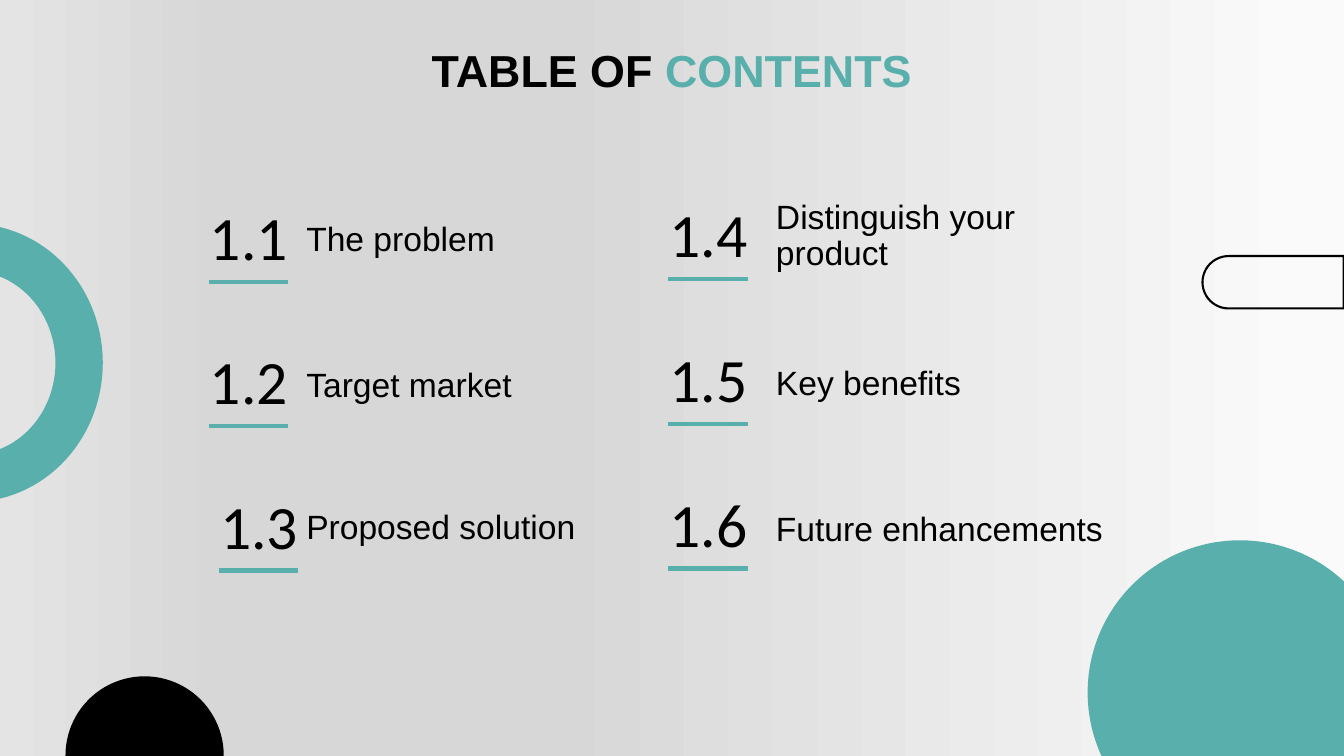
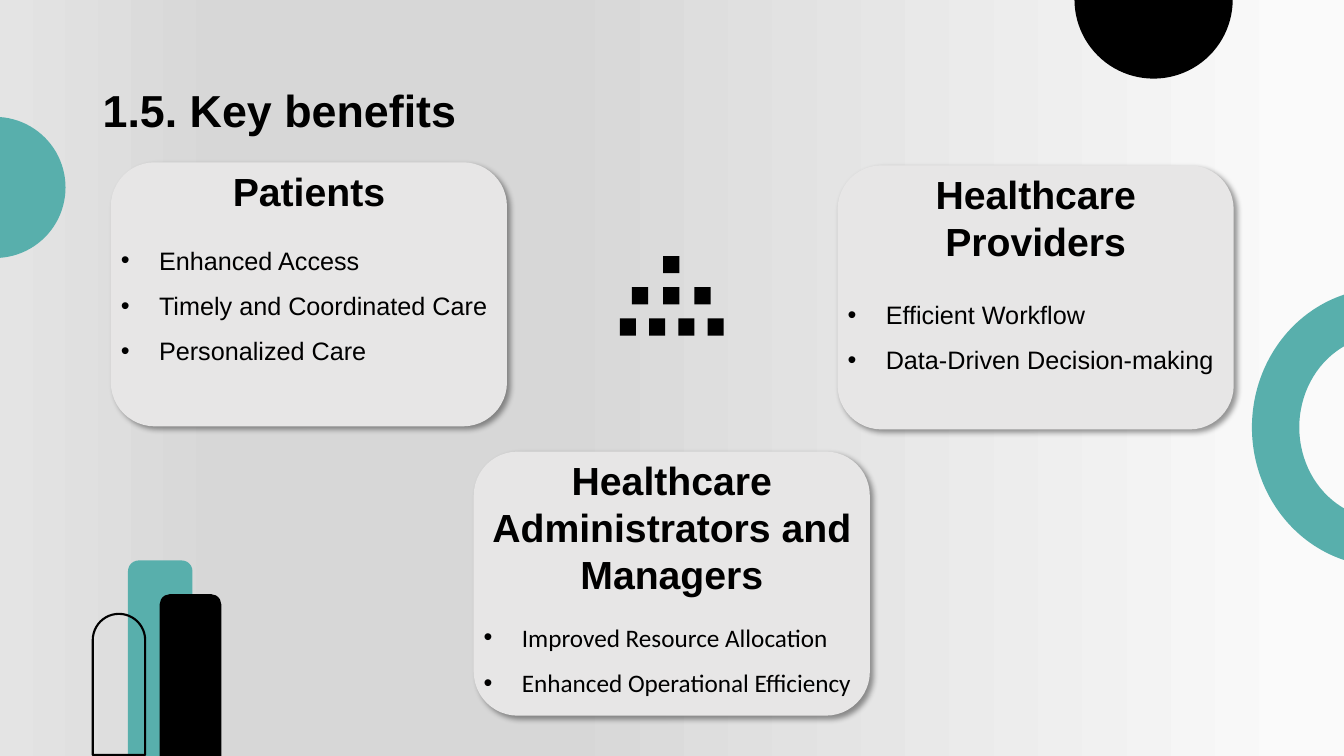
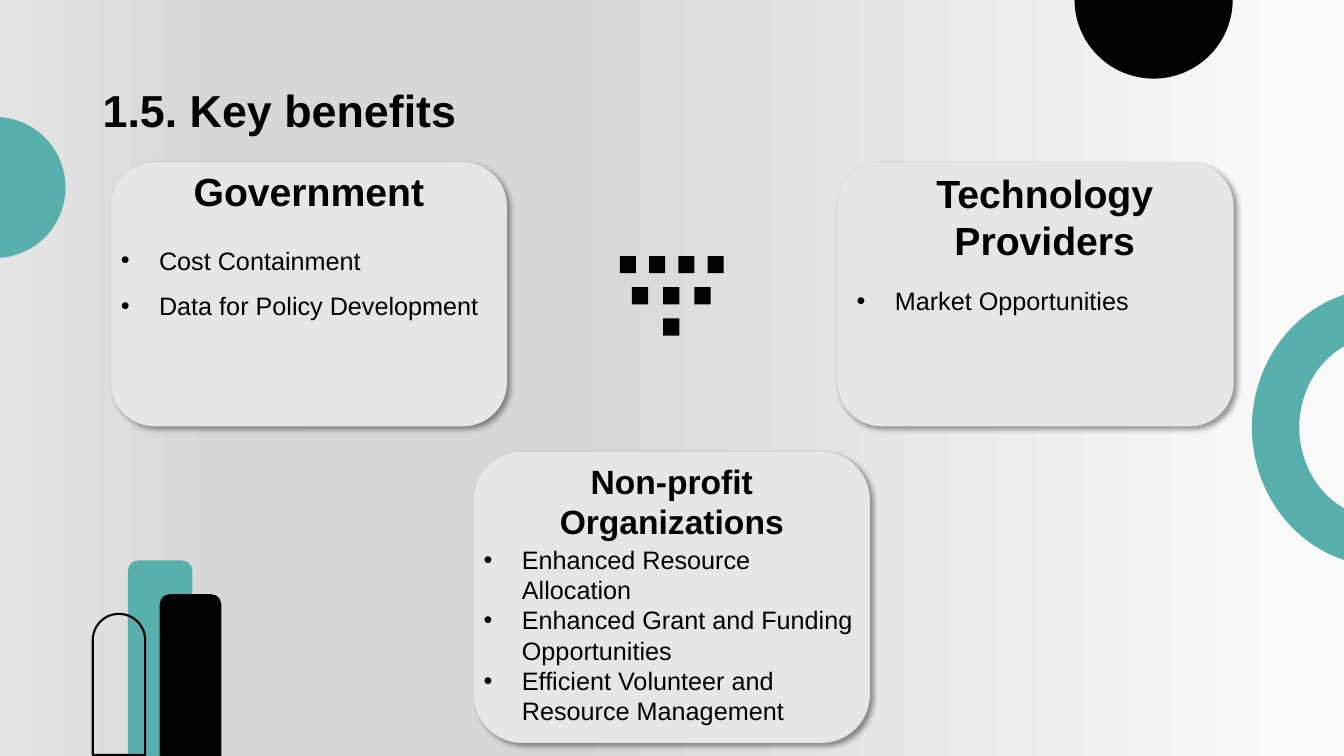
from lxml import etree
from pptx import Presentation
from pptx import util as u
from pptx.dml.color import RGBColor
from pptx.enum import shapes, text
from pptx.oxml import parse_xml
from pptx.oxml.ns import nsdecls, qn

SCALE = 9144
WIDE, HIGH = 1333, 750
TEAL = RGBColor(0x58, 0xAF, 0xAC)
BLACK = RGBColor(0, 0, 0)
PALE = RGBColor(0xE7, 0xE6, 0xE6)
STOPS = ((3, "FAFAFA"), (59, "D7D7D7"), (83, "D7D7D7"), (100, "E4E4E4"))
KIND = shapes.MSO_SHAPE
LEFT, MID = text.PP_ALIGN.LEFT, text.PP_ALIGN.CENTER
TOP, CORE, BASE = text.MSO_ANCHOR.TOP, text.MSO_ANCHOR.MIDDLE, text.MSO_ANCHOR.BOTTOM
GROW = text.MSO_AUTO_SIZE.SHAPE_TO_FIT_TEXT
HEAD = {"name": "Arial", "size": u.Pt(32), "bold": True}
CAP = {"name": "Arial", "size": u.Pt(28), "bold": True}
BODY = {"name": "Arial", "size": u.Pt(18)}
LABEL = {"name": "Arial", "size": u.Pt(24)}
DIGIT = {"name": "Calibri", "size": u.Pt(44)}


def px(*vals):
    return [u.Emu(val * SCALE) for val in vals]


def apply(obj, vals):
    for key, val in vals.items():
        setattr(obj, key, val)


def add_bullet(para):
    props = para._p.get_or_add_pPr()
    props.set("marL", str(38 * SCALE))
    props.set("indent", str(-38 * SCALE))
    etree.SubElement(props, qn("a:buFont")).set("typeface", "Arial")
    etree.SubElement(props, qn("a:buChar")).set("char", "•")


def add_text(slide, box, lines, font, align=LEFT, anchor=TOP, space=1.0,
             pad=5, bullet=False, grow=False):
    frame = slide.shapes.add_textbox(*px(*box)).text_frame
    side, edge = px(10, pad)
    apply(frame, {"word_wrap": True, "vertical_anchor": anchor,
                  "margin_left": side, "margin_right": side,
                  "margin_top": edge, "margin_bottom": edge})
    if grow:
        frame.auto_size = GROW
    for num, line in enumerate(lines):
        para = frame.add_paragraph() if num else frame.paragraphs[0]
        apply(para, {"alignment": align, "line_spacing": space})
        if bullet:
            add_bullet(para)
        runs = [(line, BLACK)] if isinstance(line, str) else line
        for words, color in runs:
            run = para.add_run()
            run.text = words
            apply(run.font, font)
            run.font.color.rgb = color


def add_form(owner, kind, box, fill=None, line=0, turn=0, adjust=()):
    form = owner.shapes.add_shape(kind, *px(*box))
    form.shadow.inherit = False
    form.rotation = turn
    for num, val in enumerate(adjust):
        form.adjustments[num] = val
    if fill is None:
        form.fill.background()
    else:
        form.fill.solid()
        form.fill.fore_color.rgb = fill
    if line:
        form.line.color.rgb = BLACK
        form.line.width = u.Pt(line)
    else:
        form.line.fill.background()
    return form


def add_ring(slide, x, y):
    add_form(slide, KIND.DONUT, (x, y, 261, 276), TEAL, adjust=[0.18])


def add_disc(slide, x, y, size, fill):
    add_form(slide, KIND.OVAL, (x, y, size, size), fill)


def add_arch(slide, x, y, turn=0):
    add_form(slide, KIND.ROUND_2_SAME_RECTANGLE, (x, y, 52, 140),
             line=1.5, turn=turn, adjust=[0.5, 0])


def new_slide(deck):
    slide = deck.slides.add_slide(deck.slide_layouts[6])
    stops = "".join(f'<a:gs pos="{pos * 1000}"><a:srgbClr val="{color}"/></a:gs>'
                    for pos, color in STOPS)
    slide._element.cSld.insert(0, parse_xml(
        f'<p:bg {nsdecls("p", "a")}><p:bgPr><a:gradFill><a:gsLst>{stops}</a:gsLst>'
        '<a:lin ang="10800000" scaled="0"/></a:gradFill><a:effectLst/></p:bgPr></p:bg>'))
    return slide


def add_title(slide, box, runs, align=LEFT):
    add_text(slide, box, [runs], HEAD, align, CORE, 0.9)


def add_entry(slide, x, y, digit, label, right, down):
    add_text(slide, (x, y, 114, 84), [digit], DIGIT, MID, space=0.9, pad=10)
    rule = slide.shapes.add_connector(
        shapes.MSO_CONNECTOR.STRAIGHT, *px(x + 17, y + 84, x + 96, y + 84))
    rule.line.color.rgb = TEAL
    rule.line.width = u.Pt(3)
    etree.SubElement(rule._element.spPr, qn("a:effectLst"))
    add_text(slide, (x + right, y + down, 348, 43), [label], LABEL,
             anchor=BASE, space=0.9, pad=10)


def add_card(slide, x, y, cap, items, drop, high=262, shift=(0, 0),
             size=28, name="Arial", space=1.5):
    card = add_form(slide, KIND.ROUNDED_RECTANGLE, (x, y, 393, high), PALE)
    effect = card._element.spPr.find(qn("a:effectLst"))
    effect.append(parse_xml(
        f'<a:outerShdw {nsdecls("a")} blurRad="50800" dist="38100" dir="2700000" '
        'algn="tl" rotWithShape="0"><a:srgbClr val="000000">'
        '<a:alpha val="40000"/></a:srgbClr></a:outerShdw>'))
    right, down = shift
    add_text(slide, (x + right, y + down, 393, 57), [cap],
             {**CAP, "size": u.Pt(size)}, MID, grow=True)
    add_text(slide, (x + right, y + drop, 393, 131), items,
             {**BODY, "name": name}, space=space, bullet=True, grow=True)


def add_dots(slide, x, y, flip=False):
    group = slide.shapes.add_group_shape()
    rows = ((1, 0), (3, 31), (4, 29))
    for row, (count, pitch) in enumerate(rows[::-1] if flip else rows):
        start = x + (103 - 16 - pitch * (count - 1)) // 2
        for col in range(count):
            add_form(group, KIND.RECTANGLE,
                     (start + col * pitch, y + row * 31, 16, 17), BLACK)


def add_bars(slide, x, y):
    bar = KIND.ROUNDED_RECTANGLE
    add_form(slide, bar, (x + 35, y, 64, 248), TEAL)
    add_form(slide, bar, (x + 67, y + 34, 60, 239), BLACK, 1)
    add_arch(slide, x, y + 53)


def contents(deck, entries):
    slide = new_slide(deck)
    add_title(slide, (0, 0, WIDE, 145),
              [("TABLE OF ", BLACK), ("CONTENTS", TEAL)], MID)
    add_disc(slide, 1079, 536, 302, TEAL)
    add_disc(slide, 65, 671, 157, BLACK)
    add_arch(slide, 1237, 210, 270)
    add_ring(slide, -159, 222)
    for entry in entries:
        add_entry(slide, *entry)


def benefits(deck, cards, flip=False):
    slide = new_slide(deck)
    add_title(slide, (92, 40, 1150, 145), [("1.5. Key benefits", BLACK)])
    for card in cards:
        add_card(slide, **card)
    add_ring(slide, 1242, 286)
    add_disc(slide, -75, 116, 140, TEAL)
    add_bars(slide, 92, 556)
    add_dots(slide, 615, 254, flip)
    add_disc(slide, 1066, -79, 157, BLACK)


def main():
    deck = Presentation()
    deck.slide_width, deck.slide_height = u.Emu(12192000), u.Emu(HIGH * SCALE)
    contents(deck, [
        (190, 196, "1.1", "The problem", 104, 28),
        (190, 339, "1.2", "Target market", 104, 30),
        (200, 482, "1.3", "Proposed solution", 94, 27),
        (646, 193, "1.4", "Distinguish your product", 114, 45),
        (646, 337, "1.5", "Key benefits", 114, 30),
        (646, 480, "1.6", "Future enhancements", 114, 31)])
    benefits(deck, [
        dict(x=110, y=161, cap="Patients", drop=62,
             items=["Enhanced Access", "Timely and Coordinated Care",
                    "Personalized Care"]),
        dict(x=470, y=448, cap="Healthcare Administrators and Managers",
             drop=149, name="Calibri",
             items=["Improved Resource Allocation",
                    "Enhanced Operational Efficiency"]),
        dict(x=831, y=164, cap="Healthcare Providers", drop=113,
             items=["Efficient Workflow", "Data-Driven Decision-making"])])
    benefits(deck, [
        dict(x=110, y=161, cap="Government", drop=62,
             items=["Cost Containment", "Data for Policy Development"]),
        dict(x=470, y=448, cap="Non-profit Organizations", drop=87,
             high=289, shift=(0, 4), size=24, space=1.0,
             items=["Enhanced Resource Allocation",
                    "Enhanced Grant and Funding Opportunities",
                    "Efficient Volunteer and Resource Management"]),
        dict(x=831, y=161, cap="Technology Providers", drop=102,
             shift=(9, 2), items=["Market Opportunities"])], flip=True)
    deck.save("out.pptx")


if __name__ == "__main__":
    main()
